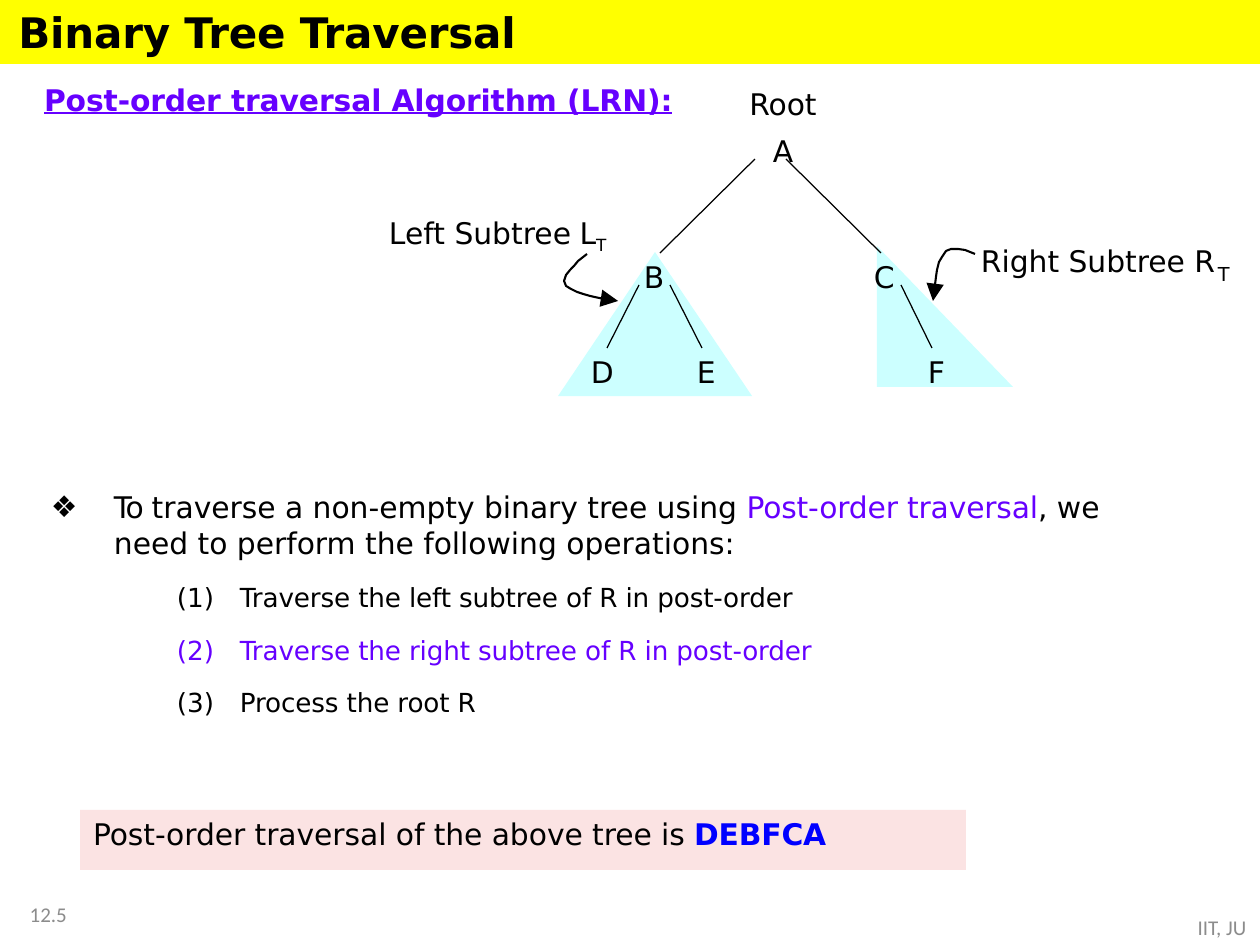
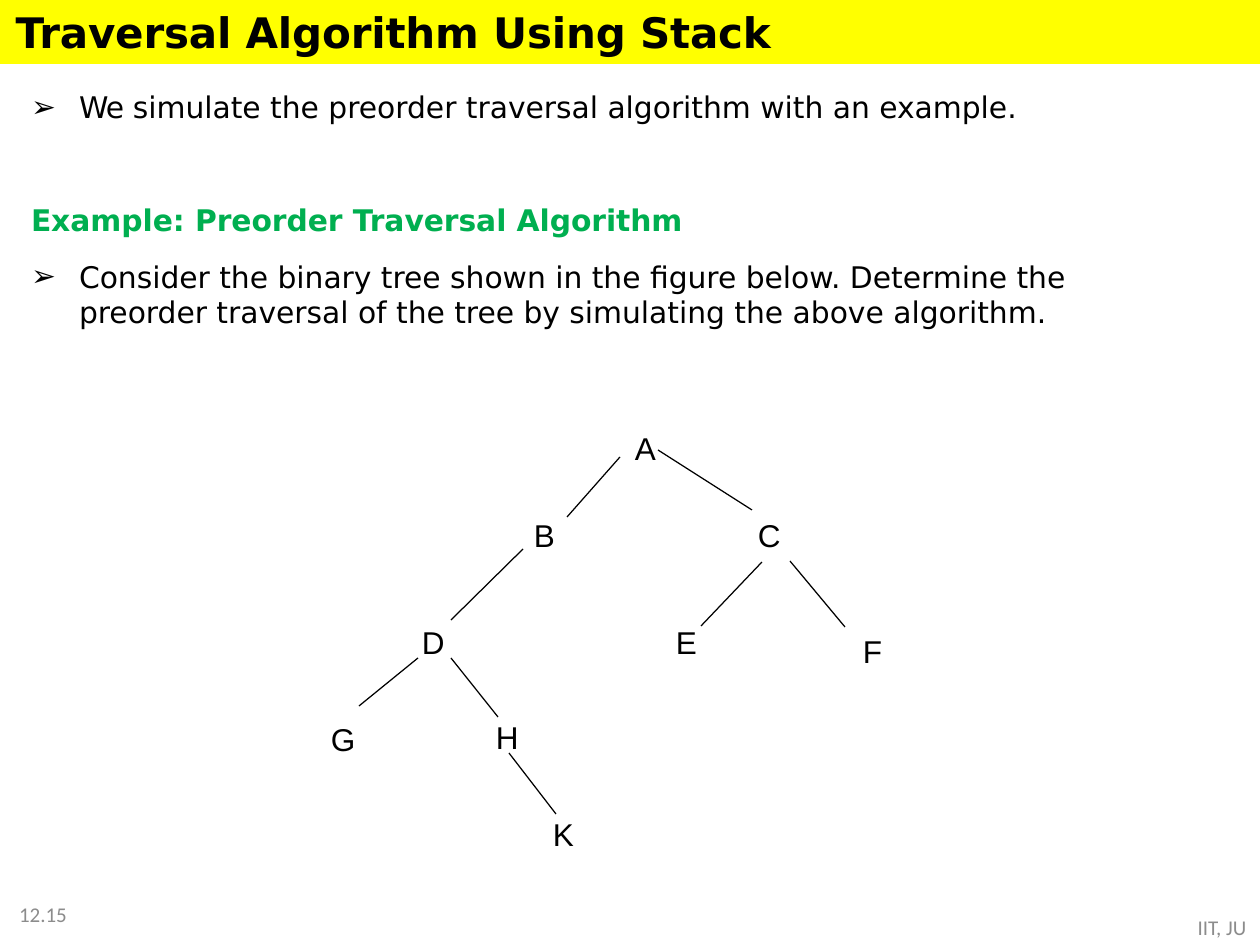
from dataclasses import dataclass
from typing import NamedTuple, Optional

from lxml import etree
from pptx import Presentation
from pptx.dml.color import RGBColor
from pptx.enum.shapes import MSO_CONNECTOR, MSO_SHAPE
from pptx.enum.text import MSO_ANCHOR, MSO_AUTO_SIZE, PP_ALIGN
from pptx.oxml.ns import qn
from pptx.util import Emu, Pt

STRAIGHT = MSO_CONNECTOR.STRAIGHT
RECTANGLE = MSO_SHAPE.RECTANGLE
TRIANGLE = MSO_SHAPE.ISOSCELES_TRIANGLE
RIGHT_TRIANGLE = MSO_SHAPE.RIGHT_TRIANGLE
TOP, MIDDLE = MSO_ANCHOR.TOP, MSO_ANCHOR.MIDDLE
LEFT, CENTER, RIGHT = PP_ALIGN.LEFT, PP_ALIGN.CENTER, PP_ALIGN.RIGHT
NO_AUTOFIT = MSO_AUTO_SIZE.NONE

EMU_PER_PX = 914400 / 126
SLIDE_WIDTH, SLIDE_HEIGHT = 1260, 945
BAND_HEIGHT = 64
BODY_FONT, TREE_FONT, FOOTER_FONT = "DejaVu Sans", "Arial", "Calibri"
COLORS = {
    "black": "000000",
    "band": "FFFF00",
    "violet": "6600FF",
    "green": "00AF50",
    "blue": "0000FF",
    "subtree": "CCFFFF",
    "result": "FBE3E3",
    "footer": "8C8C8C",
}


class Box(NamedTuple):
    left: int
    top: int
    width: int
    height: int


class Edge(NamedTuple):
    start_x: int
    start_y: int
    end_x: int
    end_y: int


class Node(NamedTuple):
    name: str
    left: int
    top: int


@dataclass
class Span:
    text: str
    size: float = 17
    color: str = "black"
    font: str = BODY_FONT
    bold: bool = False
    underline: bool = False
    spacing: int = 0
    baseline: int = 0


@dataclass
class Item:
    spans: list[Span]
    bullet: Optional[str] = None
    numbered: bool = False
    indent: int = 0
    hanging: int = 0
    space_before: float = 0


def px(length: float) -> Emu:
    return Emu(round(length * EMU_PER_PX))


def rgb(name: str) -> RGBColor:
    return RGBColor.from_string(COLORS[name])


def place(shape, box: Box) -> None:
    shape.left, shape.top, shape.width, shape.height = map(px, box)


def prepare_frame(text_frame, anchor=TOP, left: int = 0, top: int = 1) -> None:
    text_frame.auto_size = NO_AUTOFIT
    text_frame.word_wrap = True
    text_frame.vertical_anchor = anchor
    text_frame.margin_left, text_frame.margin_top = px(left), px(top)
    text_frame.margin_right = text_frame.margin_bottom = 0


def write_spans(paragraph, spans: list[Span], alignment=LEFT) -> None:
    paragraph.alignment = alignment
    paragraph.space_before = Pt(0)
    paragraph.text = spans[0].text
    for span in spans[1:]:
        paragraph.add_run().text = span.text
    for run, span in zip(paragraph.runs, spans):
        font = run.font
        font.name, font.size = span.font, Pt(span.size)
        font.bold, font.underline = span.bold, span.underline
        font.color.rgb = rgb(span.color)
        properties = run._r.get_or_add_rPr()
        if span.spacing:
            properties.set("spc", str(span.spacing))
        if span.baseline:
            properties.set("baseline", str(span.baseline))


def add_label(slide, box: Box, spans: list[Span], alignment=LEFT, anchor=TOP, inset: int = 1):
    label = slide.shapes.add_textbox(*map(px, box))
    prepare_frame(label.text_frame, anchor, left=inset)
    write_spans(label.text_frame.paragraphs[0], spans, alignment)
    return label


def add_filled(slide, kind, box: Box, color: str):
    shape = slide.shapes.add_shape(kind, *map(px, box))
    shape.shadow.inherit = False
    shape.fill.solid()
    shape.fill.fore_color.rgb = rgb(color)
    shape.line.fill.background()
    return shape


def add_edges(slide, edges: list[Edge]) -> None:
    for edge in edges:
        connector = slide.shapes.add_connector(STRAIGHT, *map(px, edge))
        connector.line.color.rgb = rgb("black")
        connector.line.width = Pt(0.72)
        etree.SubElement(connector.element.spPr, qn("a:effectLst"))


def add_nodes(slide, nodes: list[Node], font: str, size: int) -> None:
    for node in nodes:
        add_label(slide, Box(node.left, node.top, 28, 42), [Span(node.name, size, font=font)])


def add_curved_arrow(slide, points: list[tuple[int, int]]) -> None:
    builder = slide.shapes.build_freeform(*points[0], scale=EMU_PER_PX)
    builder.add_line_segments(points[1:], close=False)
    arrow = builder.convert_to_shape()
    arrow.shadow.inherit = False
    arrow.fill.background()
    arrow.line.color.rgb = rgb("black")
    arrow.line.width = Pt(1.2)
    line = arrow.element.spPr.find(qn("a:ln"))
    etree.SubElement(line, qn("a:tailEnd"), type="triangle", w="lg", len="lg")


def fill_body(slide, box: Box, items: list[Item]) -> None:
    body = slide.placeholders[1]
    place(body, box)
    text_frame = body.text_frame
    text_frame.text = "\n".join(item.spans[0].text for item in items)
    prepare_frame(text_frame)
    for paragraph, item in zip(text_frame.paragraphs, items):
        paragraph.level = int(item.numbered)
        properties = paragraph._p.get_or_add_pPr()
        properties.set("marL", str(px(item.indent)))
        properties.set("indent", str(px(-item.hanging)))
        if item.numbered:
            etree.SubElement(properties, qn("a:buAutoNum"), type="arabicParenBoth")
        elif item.bullet:
            etree.SubElement(properties, qn("a:buChar"), char=item.bullet)
        else:
            etree.SubElement(properties, qn("a:buNone"))
        write_spans(paragraph, item.spans)
        paragraph.space_before = Pt(item.space_before)


def add_base_slide(presentation, title: str, title_width: int, number: str):
    slide = presentation.slides.add_slide(presentation.slide_layouts[1])
    band = add_filled(slide, RECTANGLE, Box(0, 0, SLIDE_WIDTH, BAND_HEIGHT), "band")
    slide.shapes.element.insert(2, band.element)
    heading = slide.shapes.title
    place(heading, Box(11, 4, title_width, 54))
    prepare_frame(heading.text_frame, MIDDLE)
    heading.text_frame.word_wrap = False
    write_spans(heading.text_frame.paragraphs[0], [Span(title, 24, bold=True, spacing=-10)], CENTER)
    footers = [
        (number, Box(6, 900, 61, 27), RIGHT, 14.2),
        ("IIT, JU", Box(1191, 916, 62, 24), CENTER, 12.5),
    ]
    for text, box, alignment, line_spacing in footers:
        span = Span(text, 12, "footer", FOOTER_FONT)
        footer = add_label(slide, box, [span], alignment, MIDDLE, inset=0)
        footer.text_frame.paragraphs[0].line_spacing = Pt(line_spacing)
    return slide


def build_post_order(presentation) -> None:
    slide = add_base_slide(presentation, "Binary Tree Traversal", 512, "12.5")

    def step(text: str, color: str = "black") -> Item:
        return Item([Span(text, 15, color, spacing=-8)], numbered=True,
                    indent=190, hanging=63, space_before=12)

    fill_body(slide, Box(50, 488, 1071, 233), [
        Item([
            Span("To ", spacing=-90),
            Span("traverse a non-empty binary tree using ", spacing=-4),
            Span("Post-order traversal", color="violet", spacing=-10),
            Span(", we need to perform the following operations:", spacing=-4),
        ], bullet="❖", indent=64, hanging=63),
        step("Traverse the left subtree of R in post-order"),
        step("Traverse the right subtree of R in post-order", "violet"),
        step("Process the root R"),
    ])
    add_label(slide, Box(43, 81, 650, 39), [
        Span("Post-order traversal Algorithm (LRN):", color="violet",
             bold=True, underline=True, spacing=-8),
    ])
    add_filled(slide, TRIANGLE, Box(558, 252, 194, 144), "subtree")
    add_filled(slide, RIGHT_TRIANGLE, Box(877, 246, 136, 141), "subtree")
    add_edges(slide, [
        Edge(755, 159, 660, 253), Edge(786, 159, 881, 253),
        Edge(639, 285, 607, 348), Edge(670, 285, 702, 348),
        Edge(901, 285, 932, 348),
    ])
    add_nodes(slide, [
        Node("B", 643, 258), Node("C", 873, 258),
        Node("D", 590, 353), Node("E", 696, 353), Node("F", 927, 353),
    ], BODY_FONT, 17)
    root = add_label(slide, Box(747, 73, 72, 98), [Span("Root", spacing=-8)], CENTER, inset=0)
    write_spans(root.text_frame.add_paragraph(), [Span("A")], CENTER)
    for paragraph in root.text_frame.paragraphs:
        paragraph.line_spacing = 1.33

    add_label(slide, Box(384, 214, 240, 39), [
        Span("Left Subtree"), Span(" L", spacing=-70),
        Span("T", 16.5, spacing=-100, baseline=-25000),
    ], inset=5)
    add_label(slide, Box(980, 242, 241, 39), [Span("Right Subtree R", spacing=-4)])
    add_label(slide, Box(1217, 261, 16, 28), [Span("T", 11)])
    add_curved_arrow(slide, [
        (587, 254), (578, 261), (574, 266), (570, 270), (566, 275), (564, 281), (566, 286),
        (571, 289), (577, 292), (583, 294), (590, 296), (599, 298), (618, 301),
    ])
    add_curved_arrow(slide, [
        (975, 254), (965, 250), (958, 249), (951, 249), (946, 251), (942, 257),
        (939, 262), (937, 270), (936, 277), (935, 285), (933, 301),
    ])
    result = add_filled(slide, RECTANGLE, Box(80, 810, 886, 60), "result")
    prepare_frame(result.text_frame, left=13, top=6)
    write_spans(result.text_frame.paragraphs[0], [
        Span("Post-order traversal of the above tree is ", spacing=-7),
        Span("DEBFCA", color="blue", bold=True, spacing=-10),
    ])


def build_stack_example(presentation) -> None:
    slide = add_base_slide(presentation, "Traversal Algorithm Using Stack", 764, "12.15")
    fill_body(slide, Box(30, 88, 1048, 246), [
        Item([
            Span("We ", spacing=-50),
            Span("simulate the preorder traversal algorithm with an example.", spacing=-3),
        ], bullet="➢", indent=49, hanging=48),
        Item([Span("Example: Preorder Traversal Algorithm", color="green", bold=True, spacing=-7)],
             indent=1, space_before=44),
        Item([
            Span("Consider the binary tree shown in the figure below. Determine the preorder "
                 "traversal of the tree by simulating the above algorithm.", spacing=-3),
        ], bullet="➢", indent=49, hanging=48, space_before=12),
    ])
    add_edges(slide, [
        Edge(620, 457, 567, 517), Edge(658, 450, 752, 510),
        Edge(523, 549, 451, 620), Edge(762, 562, 701, 626), Edge(790, 561, 845, 627),
        Edge(418, 658, 359, 706), Edge(451, 658, 498, 717), Edge(509, 753, 556, 814),
    ])
    add_nodes(slide, [
        Node("A", 634, 428), Node("B", 533, 515), Node("C", 757, 515),
        Node("D", 421, 622), Node("E", 675, 622), Node("F", 862, 631),
        Node("G", 330, 719), Node("H", 495, 717), Node("K", 552, 814),
    ], TREE_FONT, 18)


def main() -> None:
    presentation = Presentation()
    presentation.slide_width, presentation.slide_height = px(SLIDE_WIDTH), px(SLIDE_HEIGHT)
    build_post_order(presentation)
    build_stack_example(presentation)
    presentation.save("out.pptx")


if __name__ == "__main__":
    main()
